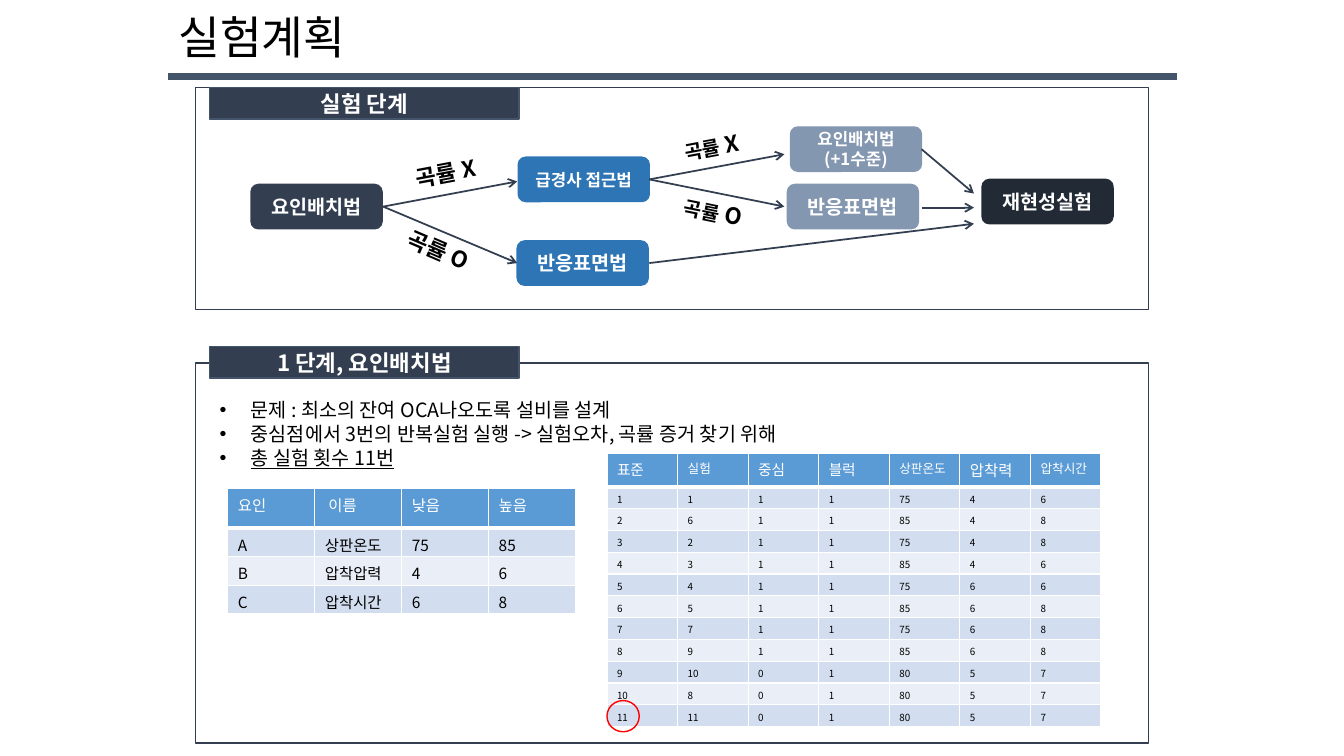
from pptx import Presentation
from pptx import util as u
from pptx.dml.color import RGBColor
from pptx.enum import shapes, text
from pptx.oxml import parse_xml
from pptx.oxml.ns import nsdecls, qn
from lxml import etree

FONT = "Noto Sans CJK KR"
HUES = {"navy": "333F50", "slate": "44546A", "blue": "2E75B6", "gray": "8497B0",
        "dark": "222A35", "head": "5B9BD5", "odd": "D2DEEF", "even": "EAEFF7",
        "white": "FFFFFF", "black": "000000", "red": "FF0000"}
KIND = shapes.MSO_SHAPE
INCH = u.Inches


def hue(name):
    return RGBColor.from_string(HUES[name])


def style(run, size, color="black", bold=False):
    font = run.font
    font.name, font.size, font.bold = FONT, u.Pt(size), bold
    font.color.rgb = hue(color)
    ea = etree.SubElement(run._r.get_or_add_rPr(), qn("a:ea"))
    ea.set("typeface", FONT)


def write(frame, words, size, color="black", bold=False, center=True):
    frame.word_wrap = True
    frame.vertical_anchor = text.MSO_ANCHOR.MIDDLE
    frame.text = words
    for para in frame.paragraphs:
        para.line_spacing = u.Pt(round(size * 1.2, 1))
        if center:
            para.alignment = text.PP_ALIGN.CENTER
        for run in para.runs:
            style(run, size, color, bold)


def shape(slide, kind, box, fill=None, line="navy"):
    item = slide.shapes.add_shape(kind, *map(INCH, box))
    item.shadow.inherit = False
    if fill:
        item.fill.solid()
        item.fill.fore_color.rgb = hue(fill)
    else:
        item.fill.background()
    item.line.color.rgb = hue(line)
    item.line.width = u.Pt(1)
    return item


def link(slide, x1, y1, x2, y2, color="navy", width=1.25, arrow=True):
    line = slide.shapes.add_connector(
        shapes.MSO_CONNECTOR.STRAIGHT, *map(INCH, (x1, y1, x2, y2)))
    line.line.color.rgb = hue(color)
    line.line.width = u.Pt(width)
    if arrow:
        tail = etree.SubElement(line.line._get_or_add_ln(), qn("a:tailEnd"))
        tail.set("type", "arrow")
    etree.SubElement(line._element.spPr, qn("a:effectLst"))


def panel(slide, box, label, rise=0):
    x, y = box[:2]
    shape(slide, KIND.RECTANGLE, box)
    tag = shape(slide, KIND.RECTANGLE, (x + 0.14, y - rise, 3.07, 0.31), "navy", "slate")
    write(tag.text_frame, label, 16, "white", True)


def title(slide, box, words):
    x, y, w, h = box
    item = slide.shapes.add_textbox(*map(INCH, (x, y, 9, h)))
    write(item.text_frame, words, 32.4, center=False)
    link(slide, x, y + 0.76, x + w, y + 0.76, "slate", 5.25, False)


def flow(slide, box):
    x, y = box[:2]
    panel(slide, box, "실험 단계")

    # Method steps
    steps = [("요인배치법", 0.55, 0.96, "navy", 14),
             ("급경사 접근법", 3.2, 0.69, "blue", 12),
             ("반응표면법", 3.19, 1.52, "blue", 14),
             ("반응표면법", 5.87, 0.96, "gray", 14),
             ("요인배치법\v(+1수준)", 5.9, 0.39, "gray", 12),
             ("재현성실험", 7.8, 0.91, "dark", 14)]
    for words, dx, dy, color, size in steps:
        node = shape(slide, KIND.ROUNDED_RECTANGLE, (x + dx, y + dy, 1.3, 0.44), color, color)
        write(node.text_frame, words, size, "white", True)

    # Arrows between steps
    for x1, y1, x2, y2 in [(1.86, 1.18, 3.19, 0.93), (1.86, 1.18, 3.19, 1.74),
                           (4.5, 0.91, 5.84, 0.66), (4.5, 0.91, 5.84, 1.18),
                           (4.5, 1.74, 7.72, 1.35), (7.2, 1.19, 7.72, 1.19),
                           (7.2, 0.61, 7.72, 1.05)]:
        link(slide, x + x1, y + y1, x + x2, y + y2)

    # Curvature labels
    for mark, dx, dy, turn, size in [("X", 1.86, 0.66, -10.6, 16), ("O", 1.79, 1.42, 23.3, 16),
                                     ("X", 4.5, 0.42, -10.6, 14), ("O", 4.51, 1.06, 11.5, 14)]:
        note = slide.shapes.add_textbox(*map(INCH, (x + dx, y + dy, 1.24, 0.37)))
        note.rotation = turn
        write(note.text_frame, "곡률", size, bold=True)
        run = note.text_frame.paragraphs[0].add_run()
        run.text = " " + mark
        style(run, 16, bold=True)


def edge(cell, head):
    props = cell._tc.get_or_add_tcPr()
    for side in "LRTB":
        width = u.Pt(3 if head and side == "B" else 1)
        props.append(parse_xml(
            f'<a:ln{side} {nsdecls("a")} w="{width}"><a:solidFill>'
            f'<a:srgbClr val="{HUES["white"]}"/></a:solidFill></a:ln{side}>'))


def grid(slide, box, rows, top, sizes, size):
    x, y, w, h = box
    table = slide.shapes.add_table(len(rows), len(rows[0]), *map(INCH, box)).table
    for col in table.columns:
        col.width = INCH(w / len(rows[0]))
    for i, row in enumerate(rows):
        table.rows[i].height = INCH(top if i == 0 else (h - top) / (len(rows) - 1))
        for j, value in enumerate(row):
            cell = table.cell(i, j)
            cell.margin_bottom = 0
            edge(cell, i == 0)
            cell.fill.solid()
            cell.fill.fore_color.rgb = hue("head" if i == 0 else "odd" if i % 2 else "even")
            cell.text_frame.text = str(value)
            run = cell.text_frame.paragraphs[0].runs[0]
            style(run, size if i else sizes[j], "black" if i else "white")


def points(slide, box, lines):
    frame = slide.shapes.add_textbox(*map(INCH, box)).text_frame
    write(frame, "\n".join(lines), 14, center=False)
    frame.vertical_anchor = text.MSO_ANCHOR.TOP
    for para in frame.paragraphs:
        para.line_spacing = u.Pt(17)
        props = para._p.get_or_add_pPr()
        props.set("marL", str(INCH(0.31)))
        props.set("indent", str(INCH(-0.31)))
        etree.SubElement(props, qn("a:buFont")).set("typeface", "Arial")
        etree.SubElement(props, qn("a:buChar")).set("char", "•")
    frame.paragraphs[-1].runs[0].font.underline = True


def stage(slide, box):
    x, y = box[:2]
    panel(slide, box, "1 단계, 요인배치법", 0.16)
    points(slide, (x + 0.14, y + 0.3, 9.31, 0.81),
           ["문제 : 최소의 잔여 OCA나오도록 설비를 설계",
            "중심점에서 3번의 반복실험 실행 -> 실험오차, 곡률 증거 찾기 위해",
            "총 실험 횟수 11번"])

    # Factor levels
    levels = [("요인", " 이름", "낮음", "높음"), ("A", "상판온도", 75, 85),
              ("B", "압착압력", 4, 6), ("C", "압착시간", 6, 8)]
    grid(slide, (x + 0.32, y + 1.25, 3.45, 1.24), levels, 0.39, [11] * 4, 11)

    # Run order: eight corner runs, then three centre runs
    order = [1, 6, 2, 3, 4, 5, 7, 9, 10, 8, 11]
    press = [4] * 4 + [6] * 4 + [5] * 3
    time = [6, 8, 8, 6, 6, 8, 8, 8, 7, 7, 7]
    runs = [("표준", "실험", "중심", "블럭", "상판온도", "압착력", "압착시간")]
    for i in range(11):
        corner = i < 8
        heat = (75, 85)[i % 2] if corner else 80
        runs.append((i + 1, order[i], int(corner), 1, heat, press[i], time[i]))
    grid(slide, (x + 4.08, y + 0.9, 4.9, 2.71), runs, 0.33,
         [10.5, 9, 10.5, 10.5, 9, 11, 9], 7)
    shape(slide, KIND.OVAL, (x + 4.08, y + 3.35, 0.32, 0.31), line="red")


deck = Presentation()
deck.slide_width, deck.slide_height = INCH(13.33), INCH(7.5)
page = deck.slides.add_slide(deck.slide_layouts[6])
title(page, (1.67, 0, 10, 0.72), "실험계획")
flow(page, (1.94, 0.87, 9.45, 2.2))
stage(page, (1.94, 3.6, 9.45, 3.77))
deck.save("out.pptx")
